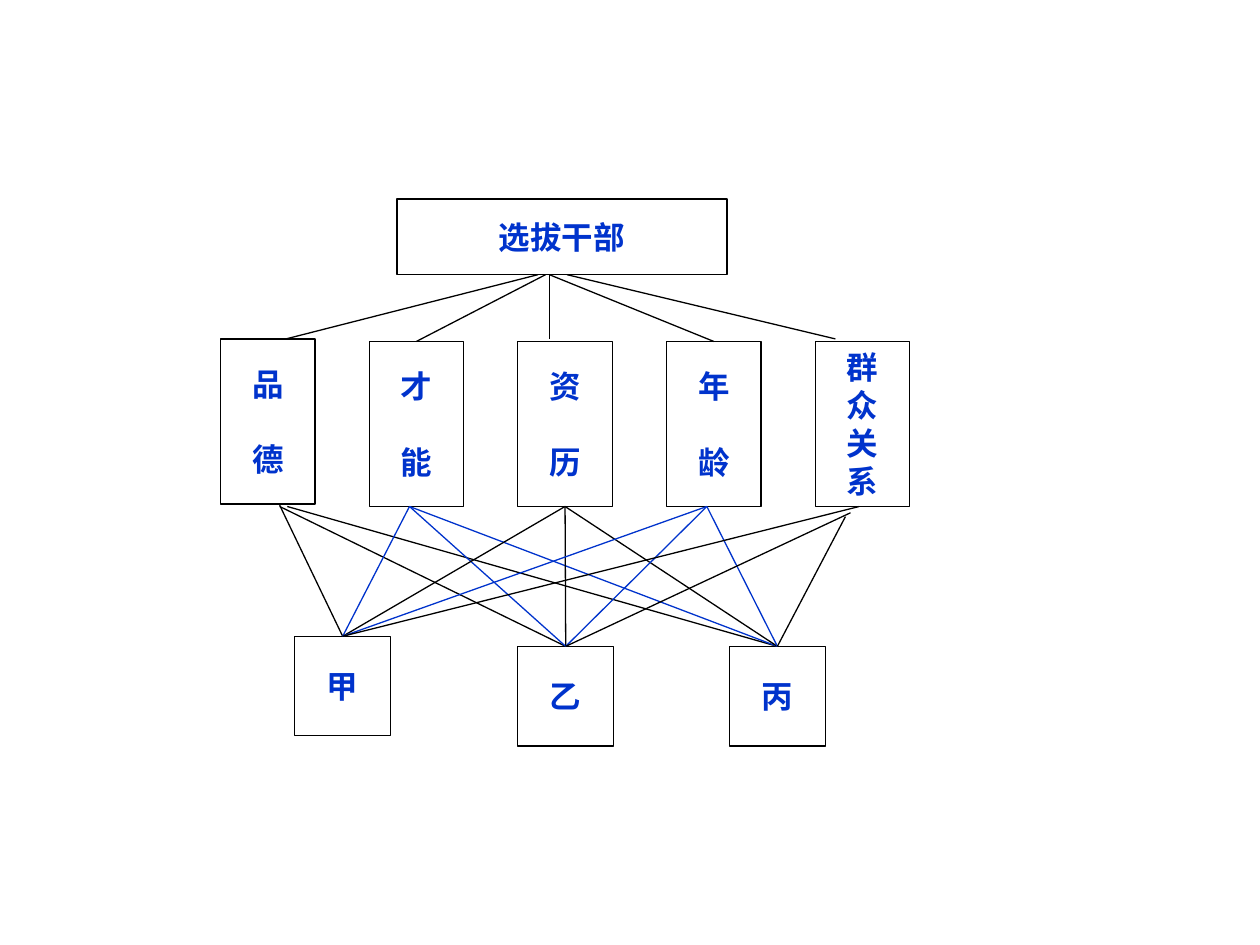
"""Build a three-level hierarchy for selecting cadres."""
from dataclasses import dataclass

from lxml.etree import SubElement
from pptx import Presentation
from pptx.dml.color import RGBColor
from pptx.enum.shapes import MSO_CONNECTOR, MSO_SHAPE
from pptx.enum.text import MSO_ANCHOR, PP_ALIGN
from pptx.oxml.ns import qn
from pptx.util import Inches, Pt

COLS, ROWS = 100, 75
TOP, BOTTOM = 0, 2


@dataclass(frozen=True)
class Theme:
    ink: RGBColor = RGBColor(0x00, 0x00, 0x00)
    accent: RGBColor = RGBColor(0x00, 0x33, 0xCC)
    font: str = "Times New Roman"
    size: Pt = Pt(18)
    gap: Pt = Pt(21.4)
    line: Pt = Pt(0.75)


class Diagram:
    def __init__(self, prs, theme):
        self.theme = theme
        self.s = prs.slides.add_slide(prs.slide_layouts[6])
        self.col = prs.slide_width / COLS
        self.row = prs.slide_height / ROWS

    def point(self, x, y):
        return round(x * self.col), round(y * self.row)

    def box(self, lines, x, y, w, h, spaced=False):
        sp = self.s.shapes.add_shape(MSO_SHAPE.RECTANGLE, *self.point(x, y), *self.point(w, h))
        sp.shadow.inherit = False
        sp.fill.background()
        sp.line.color.rgb = self.theme.ink
        sp.line.width = self.theme.line
        tf = sp.text_frame
        tf.word_wrap = False
        tf.vertical_anchor = MSO_ANCHOR.MIDDLE
        tf.text = "\n".join(lines)
        for i, p in enumerate(tf.paragraphs):
            p.alignment = PP_ALIGN.CENTER
            if spaced and i:
                p.space_before = self.theme.gap
            for r in p.runs:
                r.font.name = self.theme.font
                r.font.size = self.theme.size
                r.font.bold = True
                r.font.color.rgb = self.theme.accent
        return sp

    def link(self, upper, lower, color, start=None, end=None):
        first = self.point(*(start or (0, 0)))
        last = self.point(*(end or (0, 0)))
        c = self.s.shapes.add_connector(MSO_CONNECTOR.STRAIGHT, *first, *last)
        if start is None:
            c.begin_connect(upper, BOTTOM)
        if end is None:
            c.end_connect(lower, TOP)
        c.line.color.rgb = color
        c.line.width = self.theme.line
        SubElement(c._element.spPr, qn("a:effectLst"))


def main():
    prs = Presentation()
    prs.slide_width, prs.slide_height = Inches(10), Inches(7.5)
    theme = Theme()
    d = Diagram(prs, theme)

    goal = d.box(["选拔干部"], 31.5, 15.8, 26.2, 6)
    names = ["品德", "才能", "资历", "年龄", "群众关系"]
    criteria = [
        d.box(name, 17.5 + 11.8 * i, 27.1 if i else 26.9, 7.5, 13.1, len(name) == 2)
        for i, name in enumerate(names)
    ]
    candidates = [
        d.box([name], x, y, 7.6, 7.9)
        for name, x, y in [("甲", 23.4, 50.5), ("乙", 41.1, 51.3), ("丙", 57.9, 51.3)]
    ]

    goal_x = [42.7, 43.3, 43.6, 43.6, 45]
    criterion_ends = [(22.7, 26.9), None, (43.6, 26.9), None, (66.3, 26.9)]
    for criterion, x, end in zip(criteria, goal_x, criterion_ends):
        d.link(goal, criterion, theme.ink, (x, 21.8), end)

    starts = [
        [(22.2, 40.1), (22.2, 40.2), (22.8, 40.2)],
        [(32.5, 40.2)] * 3,
        [None] * 3,
        [(56.1, 40.2)] * 3,
        [(68.2, 40.2), (67.5, 40.7), (67.1, 41)],
    ]
    for i, (criterion, points) in enumerate(zip(criteria, starts)):
        color = theme.accent if i % 2 else theme.ink
        for candidate, start in zip(candidates, points):
            d.link(criterion, candidate, color, start)

    prs.save("out.pptx")


if __name__ == "__main__":
    main()
